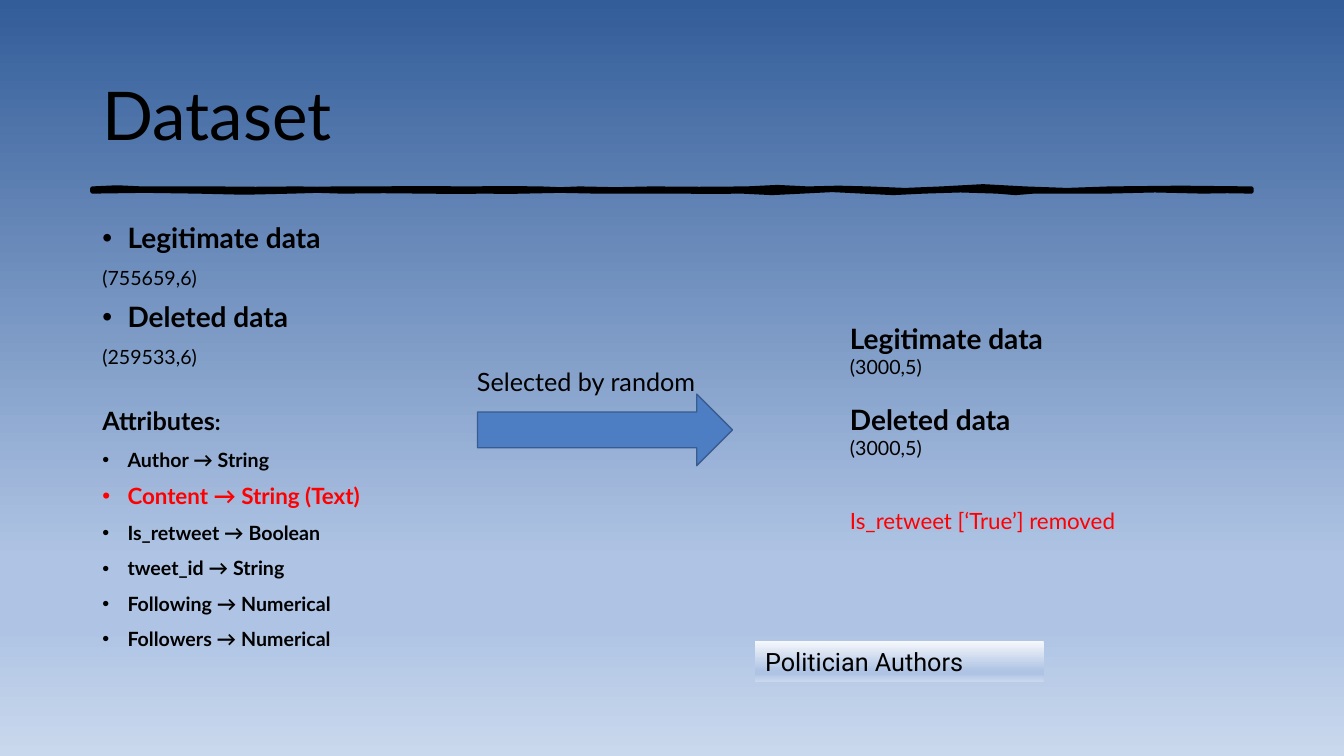
from dataclasses import dataclass

from lxml.etree import SubElement
from pptx import Presentation
from pptx.dml.color import RGBColor
from pptx.enum.shapes import MSO_SHAPE as Preset
from pptx.enum.text import MSO_ANCHOR as Anchor, PP_ALIGN as Align
from pptx.oxml.ns import qn
from pptx.util import Emu, Inches, Pt

COLUMNS, ROWS = 160, 90
CELL = Inches(1) / 12
BLACK = RGBColor(0x00, 0x00, 0x00)
RED = RGBColor(0xFF, 0x00, 0x00)
ARROW_BLUE = RGBColor(0x4D, 0x7D, 0xC3)
ARROW_EDGE = RGBColor(0x39, 0x5C, 0x90)
DEEP_BLUE = RGBColor(0x33, 0x5D, 0x99)
PALE_BLUE = RGBColor(0xF6, 0xF8, 0xFC)
SOFT_BLUE = RGBColor(0xAF, 0xC4, 0xE4)
LIGHT_BLUE = RGBColor(0xCA, 0xD8, 0xED)


@dataclass(frozen=True)
class Box:
    """A rectangle in grid cells."""
    left: float
    top: float
    width: float
    height: float

    def lengths(self) -> list[Emu]:
        return [cells(n) for n in (self.left, self.top, self.width, self.height)]


@dataclass(frozen=True)
class Line:
    """One paragraph; tail is a smaller ending in the same style."""
    text: str
    size: int
    bold: bool = False
    color: RGBColor = BLACK
    bullet: bool = False
    before: float = 0
    tail: str = ""
    tail_size: int = 16
    font: str = "Lato"


@dataclass(frozen=True)
class Wave:
    """A curve ending at column end, with two pulls in hundredths of an inch."""
    end: float
    first: int
    second: int


RULE_LEFT, RULE_TOP, RULE_DEPTH = 11, 22.44, 0.36
UPPER_EDGE = [Wave(*values) for values in (
    (16.9, -2, -1), (25.4, 1, -1), (35.5, 1, 0), (40, 0, 1), (44.5, -1, 1),
    (55.8, -1, 0), (64.4, 0, -1), (69, 1, 1), (77.6, -1, 3), (88.9, -3, 4),
    (96.2, -4, 0), (103.4, 0, -2), (112.1, 2, 2), (122, -2, -4),
    (132.1, 4, 0), (149, 0, -2))]
LOWER_EDGE = [Wave(*values) for values in (
    (143.2, -1, 0), (131.8, 0, -3), (123.1, 3, -3), (118.7, 3, 1),
    (110, -1, -2), (102.7, 2, 2), (95.5, -2, -2), (88.3, 2, 2),
    (81, -1, 2), (71, -2, 2), (62.4, -2, 0), (58, 0, 1), (50.6, -1, 2),
    (40.7, -2, 1), (34.8, -1, -1), (23.4, 1, 2), (11, -2, 0))]

SOURCE_DATA = [
    Line("Legitimate data", 20, True, bullet=True, before=10),
    Line("(755659,6)", 14, before=10),
    Line("Deleted data", 20, True, bullet=True, before=10),
    Line("(259533,6)", 14, before=10),
    Line("Attributes", 18, True, before=28.7, tail=":"),
    Line("Author → String", 14, True, bullet=True, before=10),
    Line("Content → String (Text)", 16, True, RED, True, 10),
    *(Line(text, 14, True, bullet=True, before=10) for text in (
        "Is_retweet → Boolean", "tweet_id → String",
        "Following → Numerical", "Followers → Numerical")),
]
SAMPLE_DATA = [
    Line("Legitimate data", 20, True),
    Line("(3000,5)", 14),
    Line("Deleted data", 20, True, before=17),
    Line("(3000,5)", 14),
    Line("Is_retweet [‘True’] removed", 16, color=RED, before=34),
]


def cells(count: float) -> Emu:
    return Emu(round(count * CELL))


def set_gradient(fill, owner, first: RGBColor) -> None:
    """Fill downwards from the first colour through the shared blues."""
    fill.gradient()
    fill.gradient_angle = 270
    stop_list = next(owner.iter(qn("a:gsLst")))
    stop_list.clear()
    for share, color in ((0, first), (74, SOFT_BLUE), (83, SOFT_BLUE), (100, LIGHT_BLUE)):
        stop = SubElement(stop_list, qn("a:gs"), pos=str(share * 1000))
        SubElement(stop, qn("a:srgbClr"), val=str(color))


def add_run(paragraph, text: str, size: int, line: Line) -> None:
    run = paragraph.add_run()
    run.text = text
    font_format = {"name": line.font, "size": Pt(size), "bold": line.bold}
    for name, value in font_format.items():
        setattr(run.font, name, value)
    run.font.color.rgb = line.color


def write_lines(frame, lines: list[Line], spacing: float = 1.0) -> None:
    for index, line in enumerate(lines):
        paragraph = frame.paragraphs[0] if index == 0 else frame.add_paragraph()
        paragraph_format = {"alignment": Align.LEFT, "line_spacing": spacing,
                            "space_before": Pt(line.before)}
        for name, value in paragraph_format.items():
            setattr(paragraph, name, value)
        add_run(paragraph, line.text, line.size, line)
        if line.tail:
            add_run(paragraph, line.tail, line.tail_size, line)
        if line.bullet:
            properties = paragraph._p.get_or_add_pPr()
            properties.set("marL", str(Inches(0.25)))
            properties.set("indent", str(Inches(-0.25)))
            SubElement(properties, qn("a:buFont"), typeface="Arial")
            SubElement(properties, qn("a:buChar"), char="•")


def add_text(slide, box: Box, lines: list[Line], spacing: float = 1.0) -> None:
    frame = slide.shapes.add_textbox(*box.lengths()).text_frame
    frame.word_wrap = True
    write_lines(frame, lines, spacing)


def add_preset(slide, preset: Preset, box: Box):
    shape = slide.shapes.add_shape(preset, *box.lengths())
    shape.shadow.inherit = False
    return shape


def trace_edge(start: float, row: float, waves: list[Wave]) -> list[tuple[Emu, Emu]]:
    """Give the middle and end point of each wave."""
    points = []
    for wave in waves:
        bulge = 3 / 8 * (wave.first + wave.second)
        points += [(cells((start + wave.end) / 2), cells(row) + Inches(bulge / 100)),
                   (cells(wave.end), cells(row))]
        start = wave.end
    return points


def add_sketched_rule(slide) -> None:
    bottom = RULE_TOP + RULE_DEPTH
    right = UPPER_EDGE[-1].end
    builder = slide.shapes.build_freeform(cells(RULE_LEFT), cells(RULE_TOP))
    builder.add_line_segments(
        trace_edge(RULE_LEFT, RULE_TOP, UPPER_EDGE)
        + [(cells(right), cells(bottom))]
        + trace_edge(right, bottom, LOWER_EDGE), close=True)
    rule = builder.convert_to_shape()
    rule.shadow.inherit = False
    rule.fill.solid()
    rule.fill.fore_color.rgb = BLACK
    rule.line.color.rgb = BLACK
    rule.line.width = Pt(3)
    SubElement(rule.line._get_or_add_ln(), qn("a:round"))


def main() -> None:
    presentation = Presentation()
    presentation.slide_width = cells(COLUMNS)
    presentation.slide_height = cells(ROWS)
    slide = presentation.slides.add_slide(presentation.slide_layouts[5])
    set_gradient(slide.background.fill, slide._element, DEEP_BLUE)
    add_sketched_rule(slide)

    title = slide.shapes.title
    title_box = Box(11, 4.8, 138, 17.4).lengths()
    for name, value in zip(("left", "top", "width", "height"), title_box):
        setattr(title, name, value)
    title.text_frame.vertical_anchor = Anchor.MIDDLE
    write_lines(title.text_frame, [Line("Dataset", 48)])

    add_text(slide, Box(11, 26.08, 49.1, 55.1), SOURCE_DATA, 0.9)
    arrow = add_preset(slide, Preset.RIGHT_ARROW, Box(56.85, 46.92, 30.36, 8.52))
    arrow.fill.solid()
    arrow.fill.fore_color.rgb = ARROW_BLUE
    arrow.line.color.rgb = ARROW_EDGE
    arrow.line.width = Pt(1)
    add_text(slide, Box(100, 37.72, 38.8, 26.6), SAMPLE_DATA)

    authors = add_preset(slide, Preset.RECTANGLE, Box(89.9, 76.3, 34.35, 4.8))
    set_gradient(authors.fill, authors._element, PALE_BLUE)
    authors.line.fill.background()
    write_lines(authors.text_frame, [Line("Politician Authors", 18, font="Roboto")])
    add_text(slide, Box(55.6, 43.04, 28.6, 4.8), [Line("Selected by random", 18)])
    presentation.save("out.pptx")


if __name__ == "__main__":
    main()
